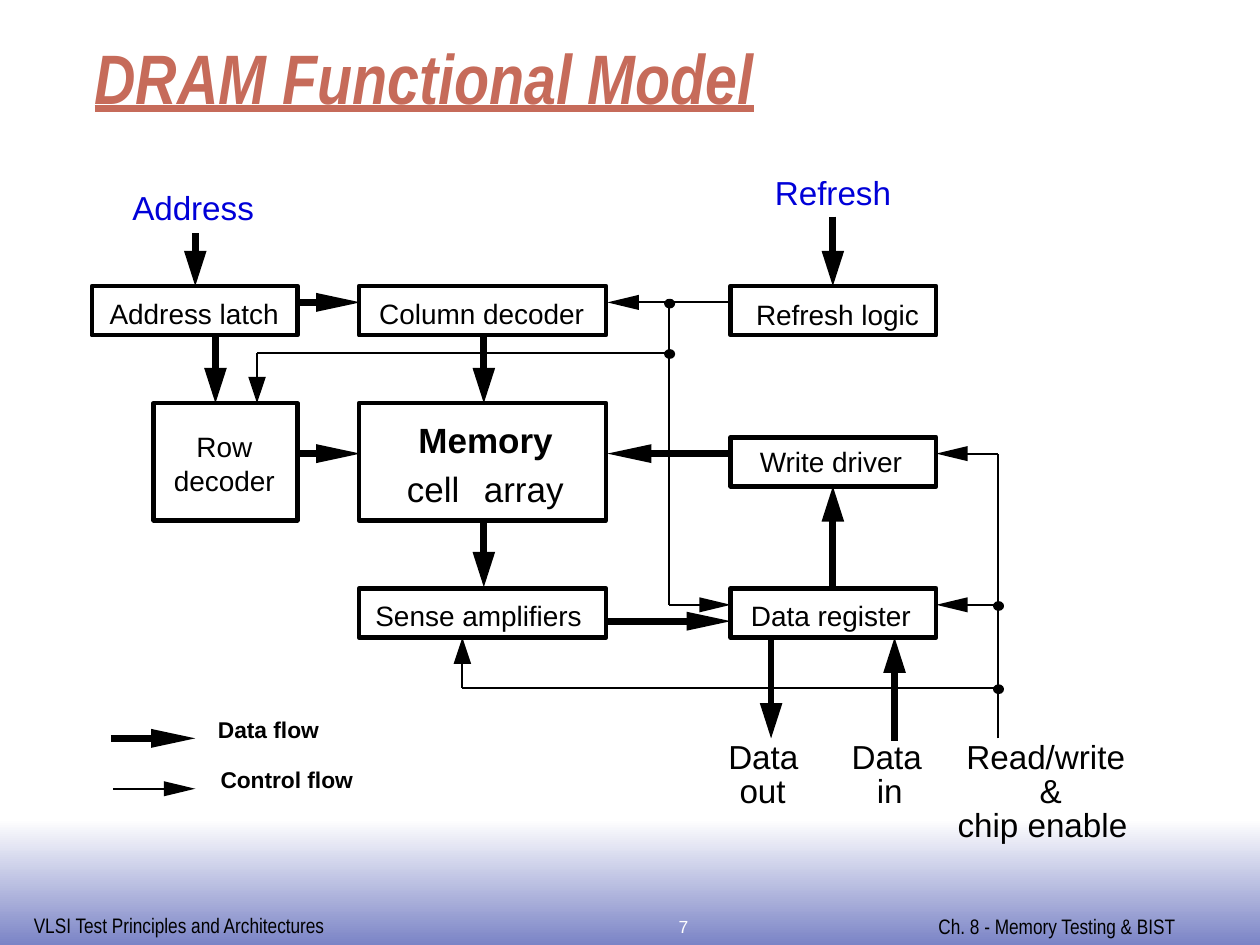
from typing import NamedTuple

from lxml import etree
from pptx import Presentation
from pptx import util as u
from pptx.dml.color import RGBColor
from pptx.enum import shapes, text
from pptx.oxml import ns

BLACK, WHITE, BLUE, RUST = "000000", "FFFFFF", "0000D8", "C66B5A"
HEAVY, LIGHT = 3.88, 1.25
LABEL_SLACK = 0.06  # spare width that keeps each label on one line


class Box(NamedTuple):
    x: float
    y: float
    w: float
    h: float = 0.39


class Label(NamedTuple):
    words: str
    x: float
    y: float
    w: float
    size: int = 16
    color: str = BLACK
    bold: bool = False


class Flow(NamedTuple):
    x1: float
    y1: float
    x2: float
    y2: float
    weight: float = HEAVY


# Head length and width, by line weight and direction
HEADS = {
    (HEAVY, True): (0.35, 0.15),
    (HEAVY, False): (0.28, 0.18),
    (LIGHT, True): (0.25, 0.12),
    (LIGHT, False): (0.21, 0.14),
}

BOXES = [
    Box(0.73, 2.27, 1.63), Box(2.85, 2.27, 1.96), Box(5.8, 2.27, 1.63),
    Box(1.22, 3.2, 1.14, 0.93), Box(2.85, 3.2, 1.96, 0.93),
    Box(5.8, 3.47, 1.63), Box(2.85, 4.67, 1.96), Box(5.8, 4.67, 1.63),
]

WIRES = [
    Flow(2.04, 2.8, 5.31, 2.8, LIGHT),
    Flow(5.31, 4.8, 5.31, 2.4, LIGHT),
    Flow(3.67, 5.46, 7.92, 5.46, LIGHT),
    Flow(7.92, 5.86, 7.92, 3.6, LIGHT),
]

ARROWS = [
    # Data flow
    Flow(1.55, 1.85, 1.55, 2.27), Flow(6.61, 1.72, 6.61, 2.27),
    Flow(2.35, 2.4, 2.86, 2.4), Flow(2.35, 3.6, 2.86, 3.6),
    Flow(1.71, 2.65, 1.71, 3.2), Flow(3.84, 2.65, 3.84, 3.2),
    Flow(3.84, 4.12, 3.84, 4.66), Flow(5.81, 3.6, 4.82, 3.6),
    Flow(4.8, 4.93, 5.8, 4.93), Flow(6.61, 4.68, 6.61, 3.86),
    Flow(6.12, 5.05, 6.12, 5.86), Flow(7.1, 5.88, 7.1, 5.06),
    # Control flow
    Flow(2.04, 2.8, 2.04, 3.2, LIGHT), Flow(5.8, 2.4, 4.82, 2.4, LIGHT),
    Flow(5.31, 4.8, 5.8, 4.8, LIGHT), Flow(3.67, 5.46, 3.67, 5.06, LIGHT),
    Flow(7.92, 4.8, 7.43, 4.8, LIGHT), Flow(7.92, 3.6, 7.43, 3.6, LIGHT),
    # Legend
    Flow(0.88, 5.86, 1.55, 5.86), Flow(0.9, 6.26, 1.55, 6.26, LIGHT),
]

JUNCTIONS = [(5.31, 2.41), (5.31, 2.81), (7.92, 4.81), (7.92, 5.47)]

LABELS = [
    Label("Address", 1.05, 1.49, 0.97, 19, BLUE),
    Label("Refresh", 6.15, 1.37, 0.92, 19, BLUE),
    Label("Address latch", 0.87, 2.35, 1.34),
    Label("Column decoder", 3.01, 2.35, 1.63),
    Label("Refresh logic", 6, 2.36, 1.29),
    Label("Row", 1.56, 3.41, 0.51),
    Label("decoder", 1.38, 3.68, 0.8),
    Label("Memory", 3.32, 3.32, 1.15, 20, bold=True),
    Label("cell", 3.23, 3.71, 0.5, 20),
    Label("array", 3.84, 3.71, 0.64, 20),
    Label("Write driver", 6.03, 3.53, 1.13),
    Label("Sense amplifiers", 2.98, 4.75, 1.64),
    Label("Data register", 5.96, 4.75, 1.27),
    Label("Data", 5.78, 5.84, 0.63, 19),
    Label("out", 5.87, 6.11, 0.37, 19),
    Label("Data", 6.76, 5.84, 0.63, 19),
    Label("in", 6.96, 6.11, 0.21, 19),
    Label("Read/write", 7.67, 5.84, 1.33, 19),
    Label("&", 8.25, 6.11, 0.25, 19),
    Label("chip enable", 7.6, 6.38, 1.35, 19),
    Label("Data flow", 1.73, 5.68, 0.8, 13, bold=True),
    Label("Control flow", 1.75, 6.08, 1.05, 13, bold=True),
]

prs = Presentation()
prs.slide_width, prs.slide_height = u.Inches(10), u.Inches(7.5)
s = prs.slides.add_slide(prs.slide_layouts[5])


def rgb(value: str) -> RGBColor:
    return RGBColor.from_string(value)


def add_run(p, words: str, size: float, color: str, font: str = "Arial"):
    r = p.add_run()
    r.text = words
    r.font.size, r.font.name = u.Pt(size), font
    r.font.color.rgb = rgb(color)
    return r


def add_text(x: float, y: float, w: float, h: float, inset: bool = False):
    tf = s.shapes.add_textbox(*map(u.Inches, (x, y, w, h))).text_frame
    tf.word_wrap = inset
    tf.margin_left = tf.margin_right = u.Inches(0.1 if inset else 0)
    tf.margin_top = tf.margin_bottom = u.Inches(0.05 if inset else 0)
    return tf.paragraphs[0]


def add_label(label: Label) -> None:
    p = add_text(label.x, label.y, label.w + LABEL_SLACK, round(label.size / 60, 2))
    p.alignment = text.PP_ALIGN.LEFT
    add_run(p, label.words, label.size, label.color).font.bold = label.bold


def add_solid(kind, box: Box, fill: str, weight: float) -> None:
    sp = s.shapes.add_shape(kind, *map(u.Inches, box))
    sp.shadow.inherit = False
    sp.fill.solid()
    sp.fill.fore_color.rgb = rgb(fill)
    sp.line.color.rgb, sp.line.width = rgb(BLACK), u.Pt(weight)


def add_wire(wire: Flow) -> None:
    c = s.shapes.add_connector(shapes.MSO_CONNECTOR.STRAIGHT, *map(u.Inches, wire[:4]))
    c.line.color.rgb, c.line.width = rgb(BLACK), u.Pt(wire.weight)
    etree.SubElement(c._element.spPr, ns.qn("a:effectLst"))


def add_arrow(flow: Flow) -> None:
    x1, y1, x2, y2, weight = flow
    dx, dy = (x2 > x1) - (x2 < x1), (y2 > y1) - (y2 < y1)
    length, width = HEADS[weight, dx != 0]
    bx, by, half = x2 - dx * length, y2 - dy * length, width / 2
    add_wire(Flow(x1, y1, bx + dx * 0.01, by + dy * 0.01, weight))
    corners = [(bx + side * dy * half, by + side * dx * half) for side in (1, -1)]
    fb = s.shapes.build_freeform(u.Inches(x2), u.Inches(y2))
    fb.add_line_segments([(u.Inches(x), u.Inches(y)) for x, y in corners], close=True)
    sp = fb.convert_to_shape()
    sp.shadow.inherit = False
    sp.fill.solid()
    sp.fill.fore_color.rgb = rgb(BLACK)
    sp.line.fill.background()


# Footer band
band = s.shapes.add_shape(shapes.MSO_SHAPE.RECTANGLE, *map(u.Inches, (0, 6.5, 10, 1)))
band.shadow.inherit = False
band.line.fill.background()
band.fill.gradient()
band.fill.gradient_angle = 270
for stop, position, color in zip(band.fill.gradient_stops, (0, 1), (WHITE, "7B84C6")):
    stop.position, stop.color.rgb = position, rgb(color)

# Footer text
add_run(add_text(0.17, 7.19, 2.53, 0.3, True),
        "VLSI Test Principles and Architectures", 12, BLACK, "Arial Narrow")
add_run(add_text(7.35, 7.2, 2.57, 0.3, True),
        "Ch. 8 - Memory Testing & BIST", 12, BLACK, "Arial Narrow")
p = add_text(4.26, 7.22, 2.33, 0.28, True)
p.alignment = text.PP_ALIGN.CENTER
add_run(p, "7", 10, WHITE)

# Title
title = s.shapes.title
title.left, title.top, title.width, title.height = map(u.Inches, (0.65, 0.24, 8.5, 0.75))
tf = title.text_frame
tf.auto_size = text.MSO_AUTO_SIZE.NONE
tf.vertical_anchor = text.MSO_ANCHOR.BOTTOM
p = tf.paragraphs[0]
p.alignment = text.PP_ALIGN.LEFT
r = add_run(p, "DRAM Functional Model", 40, RUST, "Arial Narrow")
r.font.bold = r.font.italic = r.font.underline = True

# Block diagram
for box in BOXES:
    add_solid(shapes.MSO_SHAPE.RECTANGLE, box, WHITE, 2.64)
for wire in WIRES:
    add_wire(wire)
for arrow in ARROWS:
    add_arrow(arrow)
for x, y in JUNCTIONS:
    add_solid(shapes.MSO_SHAPE.OVAL, Box(x - 0.03, y - 0.03, 0.07, 0.06), BLACK, LIGHT)
for label in LABELS:
    add_label(label)

prs.save("out.pptx")
